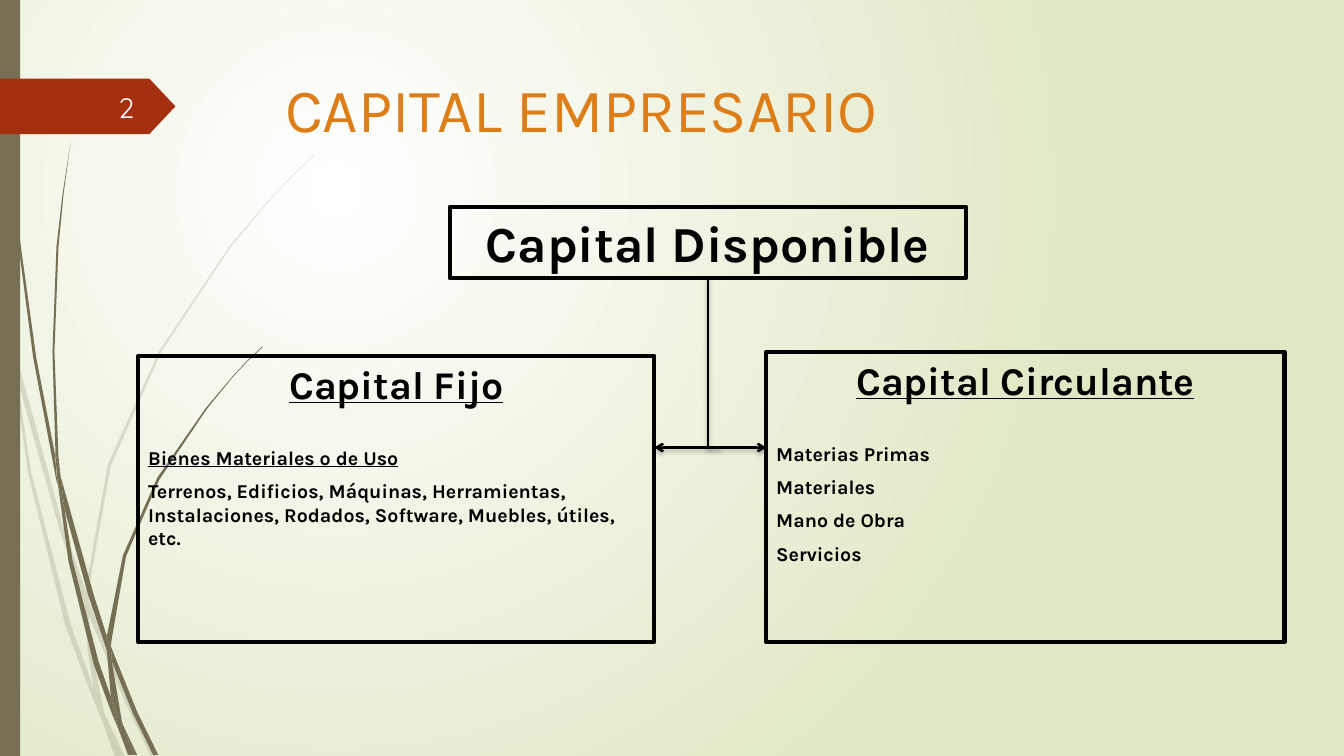
from lxml import etree
from pptx import Presentation
from pptx.dml.color import RGBColor
from pptx.enum.shapes import MSO_CONNECTOR, MSO_SHAPE
from pptx.enum.text import MSO_ANCHOR, PP_ALIGN
from pptx.oxml.ns import qn
from pptx.util import Inches, Pt

LEFT, MID, RIGHT = PP_ALIGN.LEFT, PP_ALIGN.CENTER, PP_ALIGN.RIGHT
TOP, CENTER = MSO_ANCHOR.TOP, MSO_ANCHOR.MIDDLE
RECT, ARROW = MSO_SHAPE.RECTANGLE, MSO_SHAPE.PENTAGON
STRAIGHT = MSO_CONNECTOR.STRAIGHT

WIDE, HIGH = 13.33, 7.5
UNIT = 9144  # a hundredth of an inch
COLORS = {"white": "FFFFFF", "pale": "DFE8C4", "olive": "766F54", "red": "A53010",
          "orange": "DE7E18", "black": "000000", "light": "FEFFFF"}

# Text lines: words, size, bold, underlined, alignment, space before
TITLE = [("CAPITAL EMPRESARIO", 44, False, False, LEFT, 0)]
NUMBER = [("2", 20, False, False, RIGHT, 0)]
TOTAL = [("Capital Disponible", 36, True, False, MID, 0)]
FIXED = [
    ("Capital Fijo", 28, True, True, MID, 0),
    ("Bienes Materiales o de Uso", 14, True, True, LEFT, 27),
    ("Terrenos, Edificios, Máquinas, Herramientas, Instalaciones, Rodados, "
     "Software, Muebles, útiles, etc.", 14, True, False, LEFT, 7),
]
GOODS = ["Materias Primas", "Materiales", "Mano de Obra", "Servicios"]
MOVING = [("Capital Circulante", 28, True, True, MID, 0)] + [
    (good, 14, True, False, LEFT, 7 if i else 27) for i, good in enumerate(GOODS)]

# Framed boxes: left, top, width, height, lines
BOXES = [
    (1.37, 3.53, 5.12, 2.84, FIXED),
    (7.6, 3.49, 5.14, 2.88, MOVING),
    (4.46, 2.05, 5.12, 0.71, TOTAL),
]
STEM, FORK = 7.02, 4.44
LINKS = [  # from, to, arrowhead
    ((STEM, 2.75), (STEM, FORK), False),
    ((7.14, FORK), (6.49, FORK), True),
    ((STEM, FORK), (7.6, FORK), True),
]

# Blades of grass: outline corners in hundredths of an inch
FAINT = [
    [(11, 350), (9, 322), (0, 282), (0, 299), (10, 344)],
    [(58, 522), (84, 599), (85, 586), (62, 520), (14, 345), (17, 376)],
    [(92, 607), (88, 596), (88, 610), (123, 694), (150, 751), (155, 751), (127, 692)],
    [(119, 751), (124, 751), (105, 711)],
    [(93, 683), (70, 619), (31, 469), (17, 376), (11, 350), (28, 470), (65, 621),
     (92, 693), (101, 714), (99, 707)],
    [(84, 599), (87, 646), (93, 683), (96, 692), (105, 711), (103, 706), (91, 646),
     (88, 610), (88, 608)],
    [(88, 584), (110, 462), (160, 349), (229, 245), (268, 198), (290, 175), (312, 154),
     (312, 153), (289, 175), (268, 197), (228, 244), (158, 348), (107, 461), (85, 584),
     (85, 586), (88, 596)],
    [(101, 714), (114, 751), (119, 751)],
    [(88, 608), (88, 610), (88, 596), (85, 586), (84, 599)],
    [(96, 692), (93, 683), (99, 707), (101, 714), (119, 751), (105, 711)],
]
STRONG = [
    [(7, 110), (17, 233), (33, 355), (56, 477), (57, 481), (55, 457), (55, 453),
     (36, 355), (19, 232), (8, 109), (5, 48), (4, 0), (3, 0), (4, 48)],
    [(88, 592), (106, 645), (106, 633), (106, 631), (93, 590), (60, 472), (64, 505)],
    [(113, 649), (110, 641), (111, 656), (132, 708), (152, 749), (157, 749), (136, 706)],
    [(110, 691), (98, 657), (72, 556), (64, 505), (57, 477), (68, 557), (93, 659),
     (111, 708), (117, 722), (116, 717)],
    [(60, 472), (58, 453), (54, 349), (58, 245), (63, 193), (70, 141), (62, 193),
     (56, 245), (52, 349), (55, 449)],
    [(133, 749), (136, 749), (122, 719)],
    [(57, 477), (64, 505), (60, 472), (55, 449), (55, 453)],
    [(111, 633), (125, 552), (158, 476), (205, 406), (231, 374), (245, 359), (261, 344),
     (260, 344), (245, 358), (231, 373), (204, 405), (156, 474), (122, 551), (106, 631),
     (110, 641)],
    [(117, 722), (127, 749), (131, 749)],
    [(106, 645), (110, 691), (116, 706), (122, 719), (121, 716), (111, 656), (109, 651)],
    [(106, 645), (109, 651), (111, 656), (110, 641), (106, 631), (106, 633)],
    [(116, 706), (110, 691), (116, 717), (117, 722), (130, 749), (133, 749), (122, 719)],
]


def tint(name):
    return RGBColor.from_string(COLORS[name])


def add(parent, tag, **attrs):
    node = etree.SubElement(parent, qn(tag))
    for key, value in attrs.items():
        node.set(key, str(value))
    return node


def paint(shape, name):
    shape.shadow.inherit = False
    shape.fill.solid()
    shape.fill.fore_color.rgb = tint(name)
    shape.line.fill.background()


def write(shape, lines, color, font="Karla", anchor=TOP):
    frame = shape.text_frame
    frame.word_wrap = True
    frame.vertical_anchor = anchor
    for i, (words, size, bold, under, align, gap) in enumerate(lines):
        para = frame.add_paragraph() if i else frame.paragraphs[0]
        para.text = words
        para.alignment = align
        para.space_before = Pt(gap)
        face = para.runs[0].font
        face.name, face.size = font, Pt(size)
        face.bold, face.underline = bold, under
        face.color.rgb = tint(color)


def place(*sides):
    return [Inches(side) for side in sides]


def grow(shapes, blades, alpha):
    tuft = shapes.add_group_shape()
    for blade in blades:
        outline = tuft.shapes.build_freeform(*blade[0], scale=UNIT)
        outline.add_line_segments(blade[1:], close=True)
        leaf = outline.convert_to_shape()
        paint(leaf, "olive")
        if alpha < 100:
            add(leaf.element.spPr.find(".//" + qn("a:srgbClr")), "a:alpha", val=alpha * 1000)


def link(shapes, start, end, tip):
    wire = shapes.add_connector(STRAIGHT, *place(*start, *end))
    wire.line.color.rgb = tint("black")
    wire.line.width = Pt(1.75)
    props = wire.element.spPr
    if tip:
        add(props.find(qn("a:ln")), "a:tailEnd", type="arrow")
    shade = add(add(props, "a:effectLst"), "a:outerShdw", blurRad=Pt(3), dist=Pt(2),
                dir=5400000, rotWithShape=0)
    add(add(shade, "a:srgbClr", val=COLORS["black"]), "a:alpha", val=25000)


def main():
    deck = Presentation()
    deck.slide_width, deck.slide_height = place(WIDE, HIGH)
    slide = deck.slides.add_slide(deck.slide_layouts[6])
    shapes = slide.shapes

    # Background glow
    fill = slide.background.fill
    fill.gradient()
    for stop, name, spot in zip(fill.gradient_stops, ("white", "pale"), (0, 1)):
        stop.color.rgb = tint(name)
        stop.position = spot
    grad = slide.element.find(".//" + qn("a:gradFill"))
    grad.remove(grad.find(qn("a:lin")))
    add(add(grad, "a:path", path="circle"), "a:fillToRect",
        l=50000, t=50000, r=100000, b=100000)

    # Grass, side bar and number tag
    grow(shapes, FAINT, 20)
    grow(shapes, STRONG, 100)
    paint(shapes.add_shape(RECT, *place(0, 0, 0.2, HIGH)), "olive")
    tag = shapes.add_shape(ARROW, *place(0, 0.78, 1.74, 0.55))
    tag.adjustments[0] = 0.47
    paint(tag, "red")

    # Title, boxes and links
    write(shapes.add_textbox(*place(2.73, 0.65, 9.75, 0.84)), TITLE, "orange")
    for *sides, lines in BOXES:
        box = shapes.add_shape(RECT, *place(*sides))
        box.shadow.inherit = False
        box.fill.background()
        box.line.color.rgb = tint("black")
        box.line.width = Pt(3)
        write(box, lines, "black")
    for start, end, tip in LINKS:
        link(shapes, start, end, tip)

    # Slide number
    write(shapes.add_textbox(*place(0.58, 0.86, 0.85, 0.4)), NUMBER, "light",
          "Quicksand", CENTER)
    deck.save("out.pptx")


if __name__ == "__main__":
    main()
